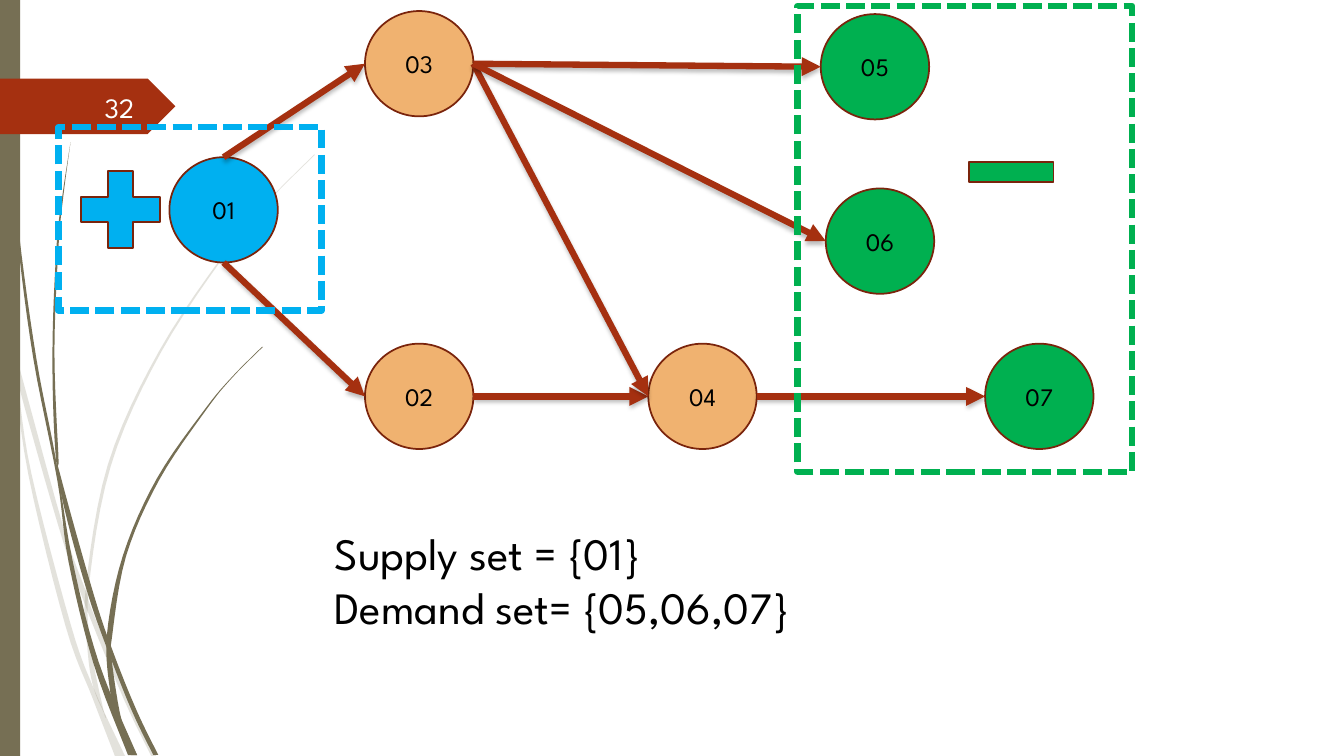
from dataclasses import dataclass
from typing import NamedTuple

from lxml.etree import SubElement
from pptx import Presentation
from pptx.dml.color import RGBColor
from pptx.enum.dml import MSO_LINE
from pptx.enum.shapes import MSO_CONNECTOR, MSO_SHAPE
from pptx.enum.text import MSO_ANCHOR, MSO_AUTO_SIZE, PP_ALIGN
from pptx.oxml import parse_xml
from pptx.oxml.ns import nsdecls, qn
from pptx.util import Inches, Pt

WIDTH, HEIGHT = Inches(13.33), Inches(7.5)
COLUMN, ROW = WIDTH / 133.3, HEIGHT / 75
NODE_WIDTH, NODE_HEIGHT = 10.75, 10.45


@dataclass(frozen=True)
class Theme:
    font: str = "League Spartan"
    ink: str = "000000"
    paper: str = "FEFFFF"
    olive: str = "766F54"
    accent: str = "A53010"
    outline: str = "7A240C"
    supply: str = "00B0F0"
    transit: str = "F0B270"
    demand: str = "00B050"
    label_size: int = 18
    number_size: int = 20
    set_size: int = 32
    thin: float = 1.25
    thick: float = 4.5


THEME = Theme()


class Box(NamedTuple):
    left: float
    top: float
    width: float
    height: float

    def emu(self) -> tuple:
        return (round(self.left * COLUMN), round(self.top * ROW),
                round(self.width * COLUMN), round(self.height * ROW))

    def side(self, name: str) -> tuple:
        across, down = {"top": (0.5, 0), "left": (0, 0.5), "bottom": (0.5, 1), "right": (1, 0.5)}[name]
        return (round((self.left + across * self.width) * COLUMN),
                round((self.top + down * self.height) * ROW))


class Node(NamedTuple):
    label: str
    left: float
    top: float
    fill: str

    def box(self) -> Box:
        return Box(self.left, self.top, NODE_WIDTH, NODE_HEIGHT)


class Edge(NamedTuple):
    source: str
    side: str
    target: str


class Figure(NamedTuple):
    kind: MSO_SHAPE
    box: Box
    fill: str | None = None
    line: str | None = None
    weight: float = THEME.thin
    dash: MSO_LINE | None = None


class Wisp(NamedTuple):
    """A grass blade between two edges, each listed from tip to root."""
    left_edge: list
    right_edge: list
    opacity: int = 100


LOW_ROW = 34.1
NODES = [
    Node("01", 16.8, 15.6, THEME.supply),
    Node("02", 36.2, LOW_ROW, THEME.transit),
    Node("03", 36.2, 1.1, THEME.transit),
    Node("04", 64.3, LOW_ROW, THEME.transit),
    Node("05", 81.4, 1.4, THEME.demand),
    Node("06", 81.9, 18.7, THEME.demand),
    Node("07", 97.7, LOW_ROW, THEME.demand),
]
EDGES = [
    Edge("01", "bottom", "02"), Edge("01", "top", "03"),
    Edge("02", "right", "04"), Edge("03", "right", "04"),
    Edge("03", "right", "05"), Edge("03", "right", "06"),
    Edge("04", "right", "07"),
]
BACKDROP = [
    Figure(MSO_SHAPE.RECTANGLE, Box(0, 0, 2, 75), THEME.olive),
    Figure(MSO_SHAPE.PENTAGON, Box(0, 7.8, 17.4, 5.5), THEME.accent),
]
MARKS = [
    Figure(MSO_SHAPE.MATH_PLUS, Box(6.6, 15.6, 10.7, 10.4), THEME.supply, THEME.outline),
    Figure(MSO_SHAPE.RECTANGLE, Box(5.8, 12.6, 26.1, 18.2), None, THEME.supply, THEME.thick, MSO_LINE.SQUARE_DOT),
    Figure(MSO_SHAPE.RECTANGLE, Box(79.1, 0.6, 33.2, 46.2), None, THEME.demand, THEME.thick, MSO_LINE.SQUARE_DOT),
    Figure(MSO_SHAPE.MATH_MINUS, Box(94.6, 12.9, 11.4, 8.3), THEME.demand, THEME.outline),
]
WISPS = [
    Wisp([(0, 29.9), (1.1, 35), (2.8, 47), (6.5, 62.1), (9.2, 69.3), (11.4, 75)],
         [(0, 28.2), (0.9, 32.2), (1.7, 37.6), (3.1, 46.9), (7, 61.9), (9.3, 68.3), (12.4, 75)], 20),
    Wisp([(1.4, 34.5), (1.7, 37.6), (5.8, 52.2), (8.4, 59.9), (12.3, 69.4), (15, 75)],
         [(1.4, 34.5), (6.2, 52), (8.5, 58.6), (9.2, 60.7), (12.7, 69.2), (15.5, 75)], 20),
    Wisp([(31.2, 15.3), (26.8, 19.7), (22.8, 24.4), (15.8, 34.8), (10.7, 46.1), (8.5, 58.4),
          (8.7, 64.6), (9.3, 68.3), (10.5, 71.1)],
         [(31.2, 15.4), (26.8, 19.8), (22.9, 24.5), (16, 34.9), (11, 46.2), (8.8, 58.4),
          (9.1, 64.6), (10.3, 70.6), (10.5, 71.1)], 20),
    Wisp([(0.3, 0), (0.7, 11), (1.7, 23.3), (3.3, 35.5), (5.7, 47.7), (6.8, 55.7), (9.3, 65.9), (12.7, 74.9)],
         [(0.4, 0), (0.8, 10.9), (1.9, 23.2), (3.6, 35.5), (5.5, 45.3), (7.2, 55.6), (9.8, 65.7), (13.6, 74.9)]),
    Wisp([(7, 14.1), (6.2, 19.3), (5.6, 24.5), (5.2, 34.9), (5.5, 44.9), (6.4, 50.5), (8.8, 59.2),
          (11.1, 65.6), (13.2, 70.8), (15.2, 74.9)],
         [(7, 14.1), (6.3, 19.3), (5.8, 24.5), (5.4, 34.9), (5.8, 45.3), (6, 47.2), (9.3, 59),
          (11.3, 64.9), (13.6, 70.6), (15.7, 74.9)]),
    Wisp([(26, 34.4), (23.1, 37.3), (20.4, 40.5), (15.6, 47.4), (12.2, 55.1), (10.6, 63.1),
          (11, 69.1), (11.7, 72.2), (13, 74.9)],
         [(26.1, 34.4), (23.1, 37.4), (20.5, 40.6), (15.8, 47.6), (12.5, 55.2), (11.1, 63.3),
          (11.1, 65.6), (12.1, 71.6), (13.6, 74.9)]),
]


def smooth(points: list, steps: int = 6) -> list:
    """Return points along a Catmull-Rom curve through the given points."""
    padded = [points[0], *points, points[-1]]
    curve = []
    for a, b, c, d in zip(padded, padded[1:], padded[2:], padded[3:]):
        for step in range(steps):
            t = step / steps
            curve.append(tuple(
                0.5 * (2 * q + (r - p) * t + (2 * p - 5 * q + 4 * r - s) * t ** 2
                       + (3 * q - p - 3 * r + s) * t ** 3)
                for p, q, r, s in zip(a, b, c, d)))
    return [*curve, points[-1]]


def apply_format(target, values: dict) -> None:
    for name, value in values.items():
        setattr(target, name, value)


def paint(shape, fill: str | None, line: str | None = None, weight: float = THEME.thin) -> None:
    shape.shadow.inherit = False
    for part, color in ((shape.fill, fill), (shape.line.fill, line)):
        if color:
            part.solid()
            part.fore_color.rgb = RGBColor.from_string(color)
        else:
            part.background()
    if line:
        shape.line.width = Pt(weight)


def write(frame, lines: list[str], size: int, color: str, alignment: PP_ALIGN, settings: dict) -> None:
    apply_format(frame, settings)
    for index, line in enumerate(lines):
        paragraph = frame.add_paragraph() if index else frame.paragraphs[0]
        paragraph.alignment = alignment
        run = paragraph.add_run()
        run.text = line
        apply_format(run.font, {"name": THEME.font, "size": Pt(size)})
        run.font.color.rgb = RGBColor.from_string(color)


def draw_wisp(shapes, wisp: Wisp) -> None:
    outline = smooth(wisp.left_edge) + smooth(wisp.right_edge)[::-1]
    start, *rest = [(round(x * COLUMN), round(y * ROW)) for x, y in outline]
    builder = shapes.build_freeform(*start)
    builder.add_line_segments(rest, close=True)
    shape = builder.convert_to_shape()
    paint(shape, THEME.olive)
    if wisp.opacity < 100:
        color = shape.fill._xPr.find(qn("a:solidFill"))[0]
        SubElement(color, qn("a:alpha")).set("val", str(wisp.opacity * 1000))


def draw_figure(shapes, figure: Figure):
    shape = shapes.add_shape(figure.kind, *figure.box.emu())
    paint(shape, figure.fill, figure.line, figure.weight)
    if figure.dash:
        shape.line.dash_style = figure.dash
    return shape


def draw_node(shapes, node: Node) -> None:
    shape = draw_figure(shapes, Figure(MSO_SHAPE.OVAL, node.box(), node.fill, THEME.outline))
    write(shape.text_frame, [node.label], THEME.label_size, THEME.ink, PP_ALIGN.CENTER,
          {"vertical_anchor": MSO_ANCHOR.MIDDLE})


def draw_edge(shapes, edge: Edge, boxes: dict[str, Box]) -> None:
    start, end = boxes[edge.source].side(edge.side), boxes[edge.target].side("left")
    arrow = shapes.add_connector(MSO_CONNECTOR.STRAIGHT, *start, *end)
    arrow.line.color.rgb = RGBColor.from_string(THEME.accent)
    arrow.line.width = Pt(THEME.thick)
    SubElement(arrow.line._get_or_add_ln(), qn("a:tailEnd")).set("type", "triangle")
    arrow._element.spPr.append(parse_xml(
        f'<a:effectLst {nsdecls("a")}><a:outerShdw blurRad="{Pt(3)}" dist="{Pt(2)}" dir="5400000">'
        f'<a:srgbClr val="{THEME.ink}"><a:alpha val="25000"/></a:srgbClr></a:outerShdw></a:effectLst>'))


def main() -> None:
    presentation = Presentation()
    apply_format(presentation, {"slide_width": WIDTH, "slide_height": HEIGHT})
    shapes = presentation.slides.add_slide(presentation.slide_layouts[6]).shapes
    for wisp in WISPS:
        draw_wisp(shapes, wisp)
    for figure in BACKDROP:
        draw_figure(shapes, figure)
    for node in NODES:
        draw_node(shapes, node)
    boxes = {node.label: node.box() for node in NODES}
    for edge in EDGES:
        draw_edge(shapes, edge, boxes)
    sets = shapes.add_textbox(*Box(32.2, 51.7, 53.3, 11.8).emu())
    write(sets.text_frame, ["Supply set = {01}", "Demand set= {05,06,07}"], THEME.set_size, THEME.ink,
          PP_ALIGN.LEFT, {"word_wrap": False, "auto_size": MSO_AUTO_SIZE.SHAPE_TO_FIT_TEXT})
    for mark in MARKS:
        draw_figure(shapes, mark)
    number = shapes.add_textbox(*Box(5.8, 8.6, 8.5, 4).emu())
    write(number.text_frame, ["32"], THEME.number_size, THEME.paper, PP_ALIGN.RIGHT,
          {"word_wrap": True, "vertical_anchor": MSO_ANCHOR.MIDDLE})
    presentation.save("out.pptx")


if __name__ == "__main__":
    main()
